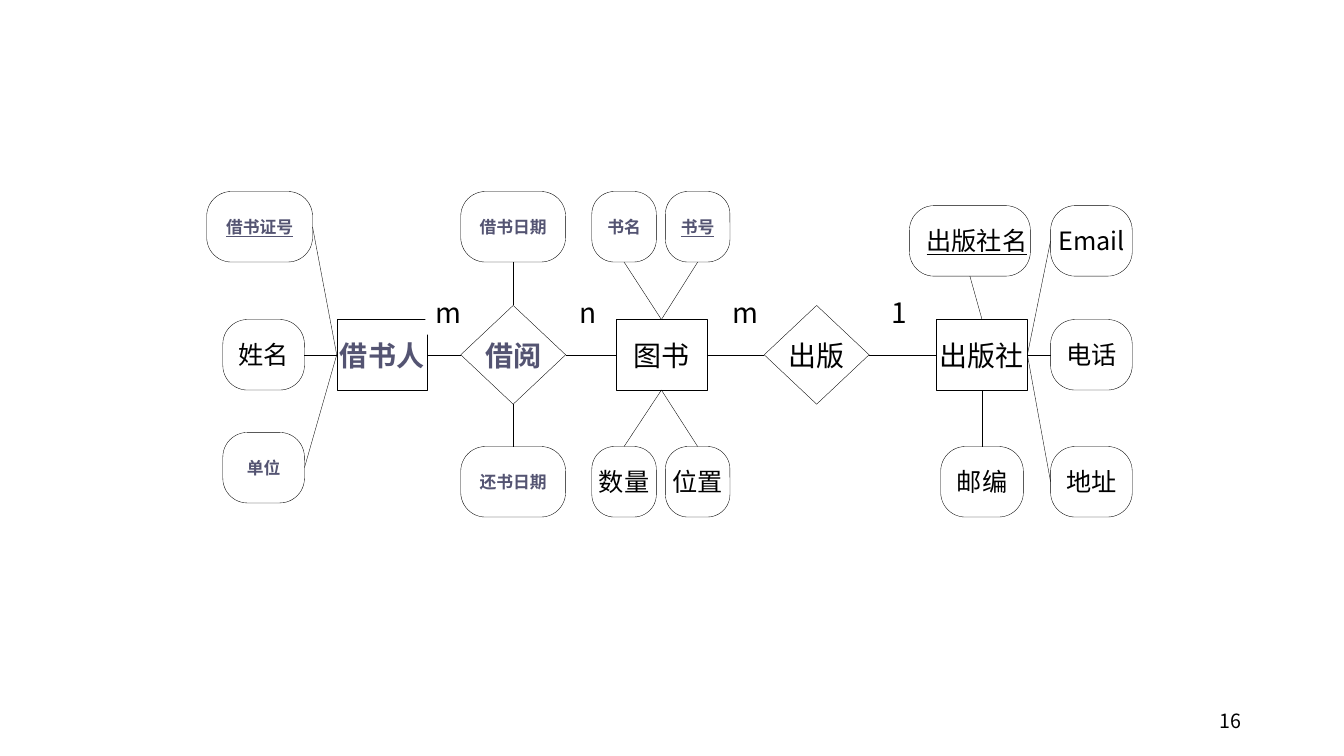
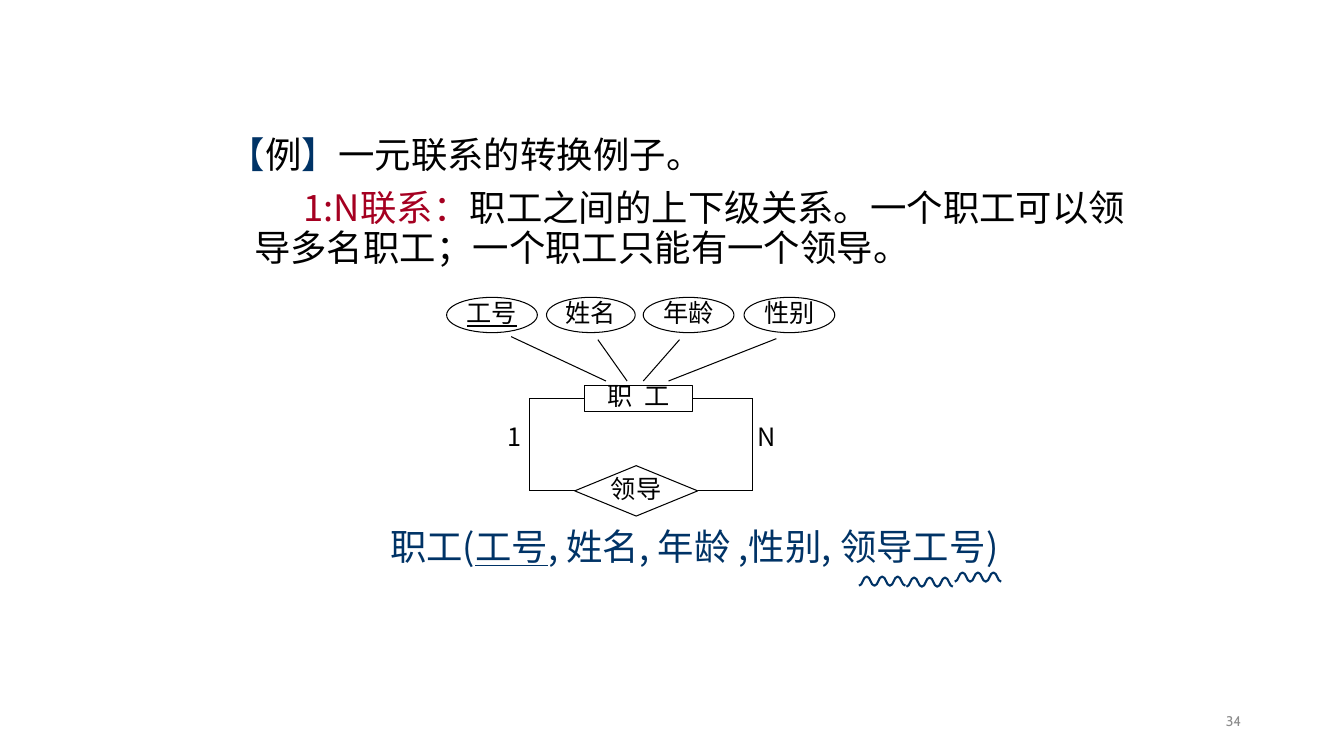
from itertools import pairwise

from lxml import etree
from pptx import Presentation
from pptx.dml.color import RGBColor
from pptx.enum.shapes import MSO_CONNECTOR, MSO_SHAPE
from pptx.enum.text import MSO_ANCHOR, MSO_AUTO_SIZE, PP_ALIGN
from pptx.oxml.ns import qn
from pptx.util import Inches, Pt

COLORS = {"ink": "000000", "paper": "FFFFFF", "purple": "545472",
          "navy": "003366", "red": "A50021", "grey": "8C8C8C"}
CJK, LATIN = "Noto Sans CJK SC", "Cabin"
TOP, LEFT, BOTTOM, RIGHT = range(4)  # connection sites


def rgb(name):
    return RGBColor.from_string(COLORS[name])


def write(paragraph, text, size=18, color="ink", bold=False, underline=False,
          font=CJK, tracking=0):
    """Add one formatted run; tracking is in points."""
    run = paragraph.add_run()
    run.text = text
    run.font.size = Pt(size)
    run.font.bold = bold
    run.font.underline = underline
    run.font.color.rgb = rgb(color)
    run.font.name = font
    properties = run._r.get_or_add_rPr()
    etree.SubElement(properties, qn("a:ea")).set("typeface", font)
    if tracking:
        properties.set("spc", str(tracking * 100))


def text_frame(shape, align=PP_ALIGN.CENTER, wrap=True, anchor=MSO_ANCHOR.MIDDLE,
               tight=False):
    """Prepare a shape's text frame and return its first paragraph."""
    frame = shape.text_frame
    frame.word_wrap = wrap
    frame.vertical_anchor = anchor
    paragraph = frame.paragraphs[0]
    paragraph.alignment = align
    if tight:
        frame.margin_left = frame.margin_right = Inches(0.04)
        frame.margin_top = frame.margin_bottom = 0
        paragraph.line_spacing = 0.8
    return paragraph


def text_box(slide, x, y, w, h, **layout):
    box = slide.shapes.add_textbox(Inches(x), Inches(y), Inches(w), Inches(h))
    return text_frame(box, **layout)


def add_node(slide, kind, x, y, w, h, weight=None):
    """Add a white shape, outlined when a weight is given."""
    node = slide.shapes.add_shape(kind, Inches(x), Inches(y), Inches(w), Inches(h))
    node.shadow.inherit = False
    node.fill.solid()
    node.fill.fore_color.rgb = rgb("paper")
    if weight:
        node.line.color.rgb = rgb("ink")
        node.line.width = Pt(weight)
    else:
        node.line.fill.background()
    return node


def add_link(slide, start=(0, 0), end=(0, 0), weight=0.25, begin_at=None, end_at=None):
    """Draw a line between points; begin_at and end_at are (shape, site) pairs."""
    link = slide.shapes.add_connector(
        MSO_CONNECTOR.STRAIGHT, *(Inches(value) for value in (*start, *end)))
    link.line.color.rgb = rgb("ink")
    link.line.width = Pt(weight)
    etree.SubElement(link._element.spPr, qn("a:effectLst"))
    if begin_at:
        link.begin_connect(*begin_at)
    if end_at:
        link.end_connect(*end_at)


def add_page_number(slide, number, **style):
    paragraph = text_box(slide, 9.41, 6.95, 3, 0.4, align=PP_ALIGN.RIGHT)
    write(paragraph, str(number), **style)


def draw_library_model(slide, left, top):
    """Entities, relationships and attributes of the library, joined by lines."""
    height, middle, low = 0.7, 1.27, 2.53
    nodes = {}

    def place(kind, text, x, y, w, h, align=PP_ALIGN.CENTER, **style):
        node = add_node(slide, kind, left + x, top + y, w, h, weight=0.25)
        if kind == MSO_SHAPE.ROUNDED_RECTANGLE:
            node.adjustments[0] = 0.35
        write(text_frame(node, align=align, wrap=False), text, **style)
        nodes[text] = node

    accent = {"color": "purple", "bold": True}
    small = {"size": 12, **accent}
    entities = [("借书人", 1.29, accent), ("图书", 4.06, {}), ("出版社", 7.24, {})]
    relationships = [("借阅", 2.52, accent), ("出版", 5.53, {})]
    attributes = [
        ("借书证号", 0, 0, 1.05, {"underline": True, **small}),
        ("姓名", 0.16, middle, 0.81, {}),
        ("单位", 0.16, 2.39, 0.81, small),
        ("借书日期", 2.52, 0, 1.04, small),
        ("还书日期", 2.52, low, 1.04, small),
        ("书名", 3.82, 0, 0.64, small),
        ("书号", 4.55, 0, 0.64, {"underline": True, **small}),
        ("数量", 3.82, low, 0.64, {}),
        ("位置", 4.55, low, 0.64, {}),
        ("出版社名", 6.97, 0.14, 1.2, {"underline": True, "align": PP_ALIGN.LEFT}),
        ("Email", 8.37, 0.14, 0.81, {}),
        ("电话", 8.37, middle, 0.81, {}),
        ("邮编", 7.28, low, 0.82, {}),
        ("地址", 8.37, low, 0.81, {}),
    ]
    for text, x, style in entities:
        place(MSO_SHAPE.RECTANGLE, text, x, middle, 0.9, height, size=20, **style)
    for text, x, style in relationships:
        place(MSO_SHAPE.DIAMOND, text, x, 1.13, 1.04, 0.98, size=20, **style)
    for text, x, y, w, style in attributes:
        place(MSO_SHAPE.ROUNDED_RECTANGLE, text, x, y, w, height, **style)

    for cardinality, x in [("m", 2.17), ("n", 3.57), ("m", 5.12), ("1", 6.66)]:
        label = add_node(slide, MSO_SHAPE.RECTANGLE, left + x, top + 0.98, 0.42, 0.44)
        write(text_frame(label), cardinality, size=20)

    for first, second in pairwise(["借书人", "借阅", "图书", "出版", "出版社"]):
        add_link(slide, begin_at=(nodes[first], RIGHT), end_at=(nodes[second], LEFT))
    # owner, side of the owner, side of each attribute, attributes
    branches = [
        ("借书人", LEFT, RIGHT, ["借书证号", "姓名", "单位"]),
        ("借阅", TOP, BOTTOM, ["借书日期"]),
        ("借阅", BOTTOM, TOP, ["还书日期"]),
        ("图书", TOP, BOTTOM, ["书名", "书号"]),
        ("图书", BOTTOM, TOP, ["数量", "位置"]),
        ("出版社", TOP, BOTTOM, ["出版社名"]),
        ("出版社", RIGHT, LEFT, ["Email", "电话", "地址"]),
        ("出版社", BOTTOM, TOP, ["邮编"]),
    ]
    for owner, owner_side, side, names in branches:
        for name in names:
            add_link(slide, begin_at=(nodes[owner], owner_side),
                     end_at=(nodes[name], side))


def fill_example(body, left, top, width, height):
    body.left, body.top = Inches(left), Inches(top)
    body.width, body.height = Inches(width), Inches(height)
    frame = body.text_frame
    frame.auto_size = MSO_AUTO_SIZE.NONE
    paragraphs = [
        (-0.25, [("【", "navy"), ("例", "ink"), ("】", "navy"),
                 ("一元联系的转换例子。", "ink")]),
        (0.49, [("1:N联系：", "red"),
                ("职工之间的上下级关系。一个职工可以领导多名职工；"
                 "一个职工只能有一个领导。", "ink")]),
    ]
    for number, (indent, runs) in enumerate(paragraphs):
        paragraph = frame.add_paragraph() if number else frame.paragraphs[0]
        properties = paragraph._p.get_or_add_pPr()
        properties.set("marL", str(Inches(0.25)))
        properties.set("indent", str(Inches(indent)))
        etree.SubElement(properties, qn("a:buNone"))
        paragraph.line_spacing = 0.9
        paragraph.space_before = Pt(10 if number else 0)
        for text, color in runs:
            write(paragraph, text, size=26, color=color)


def draw_employee_model(slide, left, top):
    """One entity with four attributes and a relationship to itself."""
    weight = 0.75

    def place(kind, text, x, y, w, h, **style):
        node = add_node(slide, kind, left + x, top + y, w, h, weight)
        write(text_frame(node, wrap=False, tight=True), text, **style)
        return node

    employee = place(MSO_SHAPE.RECTANGLE, "职 工", 1.37, 0.87, 1.07, 0.26, tracking=2)
    leads = place(MSO_SHAPE.DIAMOND, "领导", 1.27, 1.67, 1.22, 0.5)
    # attribute, left edge, width, line start, line end
    attributes = [
        ("工号", 0, 0.9, (0.64, 0.39), (1.58, 0.83)),
        ("姓名", 0.99, 0.88, (1.5, 0.42), (1.79, 0.83)),
        ("年龄", 1.95, 0.9, (2.31, 0.42), (1.95, 0.83)),
        ("性别", 2.95, 0.9, (3.27, 0.41), (2.2, 0.83)),
    ]
    for text, x, width, start, end in attributes:
        place(MSO_SHAPE.OVAL, text, x, 0, width, 0.35, underline=text == "工号")
        add_link(slide, (left + start[0], top + start[1]),
                 (left + end[0], top + end[1]), weight)

    upper, lower = top + 1, top + 1.92
    for cardinality, label_x, x, side in [("1", 0.45, 0.82, LEFT), ("N", 2.95, 3.03, RIGHT)]:
        corners = (left + x, upper), (left + x, lower)
        add_link(slide, end=corners[0], weight=weight, begin_at=(employee, side))
        add_link(slide, *corners, weight)
        add_link(slide, start=corners[1], weight=weight, end_at=(leads, side))
        label = text_box(slide, left + label_x, top + 1.28, 0.44, 0.25, tight=True)
        write(label, cardinality)


def draw_wave(slide, left, top, width=0.46, height=0.09, halves=6):
    """A curve that swings between its bottom and its top."""
    points = [(Inches(left + width * half / halves),
               Inches(top + (0 if half % 2 else height)))
              for half in range(halves + 1)]
    builder = slide.shapes.build_freeform(*points[0])
    builder.add_line_segments(points[1:], close=False)
    wave = builder.convert_to_shape()
    wave.shadow.inherit = False
    wave.fill.background()
    wave.line.color.rgb = rgb("navy")
    wave.line.width = Pt(1.5)
    segments = list(wave._element.iter(qn("a:lnTo")))
    for segment, (start, end) in zip(segments, pairwise(points)):
        segment.tag = qn("a:cubicBezTo")
        segment.remove(segment[0])
        bend = (start[0] + end[0]) // 2
        for x, y in [(bend, start[1]), (bend, end[1]), end]:
            point = etree.SubElement(segment, qn("a:pt"))
            point.set("x", str(x - points[0][0]))
            point.set("y", str(y - Inches(top)))


def draw_schema(slide, left, top):
    """The relation schema, its foreign key marked by waves."""
    schema = text_box(slide, left, top, 8.31, 0.46, anchor=MSO_ANCHOR.TOP)
    schema.line_spacing = 0.8
    for text, is_key in [("职工(", False), ("工号", True),
                         (", 姓名, 年龄 ,性别, 领导工号)", False)]:
        write(schema, text, size=26, color="navy", underline=is_key)
    for x, y in [(5.79, 0.49), (6.26, 0.5), (6.74, 0.45)]:
        draw_wave(slide, left + x, top + y)


def build_library_slide(deck):
    slide = deck.slides.add_slide(deck.slide_layouts[6])
    draw_library_model(slide, 2.05, 1.9)
    add_page_number(slide, 16, size=14)


def build_employee_slide(deck):
    slide = deck.slides.add_slide(deck.slide_layouts[1])
    title = slide.shapes.title._element
    title.getparent().remove(title)
    fill_example(slide.placeholders[1], 2.17, 1.31, 9.3, 1.49)
    draw_employee_model(slide, 4.43, 2.95)
    draw_schema(slide, 2.73, 5.23)
    add_page_number(slide, 34, size=10, color="grey", font=LATIN)


def main():
    deck = Presentation()
    deck.slide_width, deck.slide_height = Inches(13.33), Inches(7.5)
    build_library_slide(deck)
    build_employee_slide(deck)
    deck.save("out.pptx")


if __name__ == "__main__":
    main()
